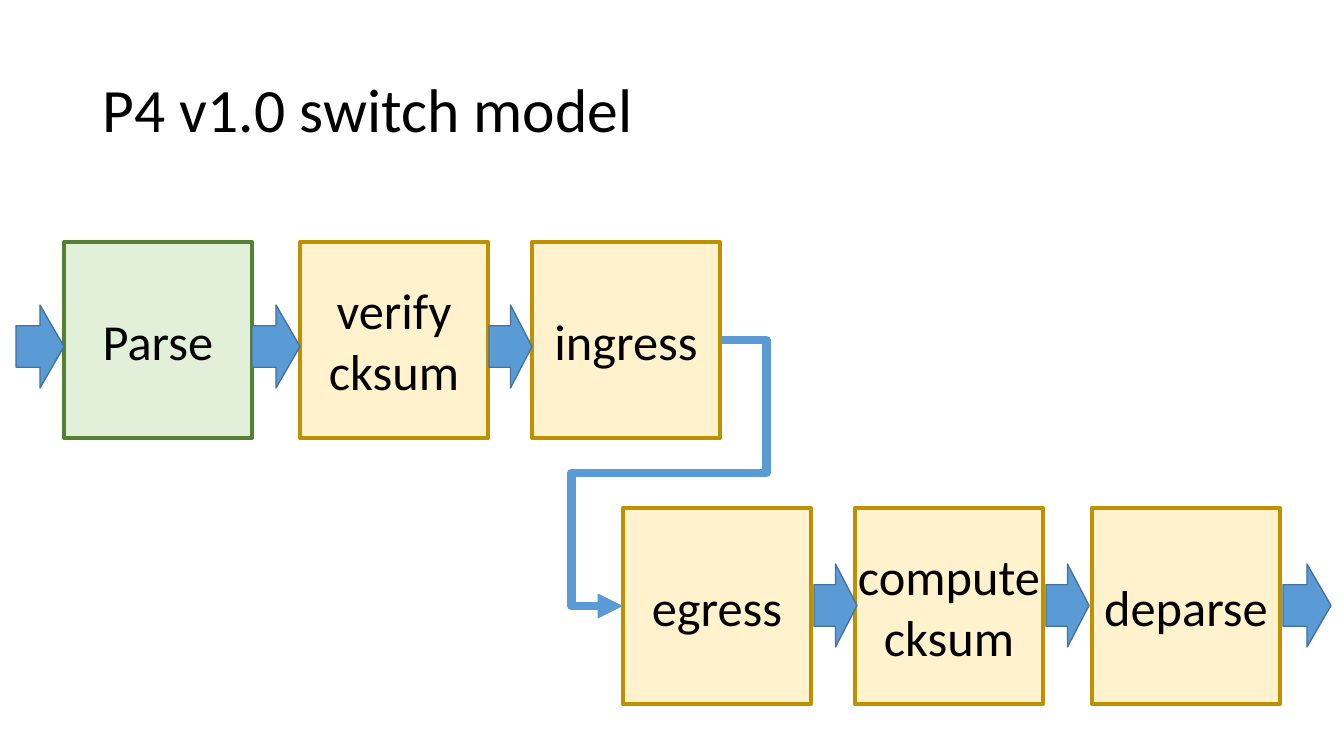
from lxml import etree
from pptx import Presentation
from pptx.dml.color import RGBColor
from pptx.enum.shapes import MSO_CONNECTOR, MSO_SHAPE
from pptx.enum.text import MSO_ANCHOR, PP_ALIGN
from pptx.oxml.ns import qn
from pptx.util import Pt

EMU_PER_PX = 914400 / 100.8
BOX_W, BOX_H = 188, 196
ARROW_H = 83
GREEN = ("E2F0D9", "548235")
YELLOW = ("FFF2CC", "BF9000")
BLUE, DARK_BLUE = "5B9BD5", "43739E"

# Each row: top of boxes, top of arrows, boxes (left, lines, colours), arrows (left, width)
ROWS = [
    (242, 305,
     [(64, ["Parse"], GREEN), (300, ["verify", "cksum"], YELLOW), (532, ["ingress"], YELLOW)],
     [(16, 48), (252, 48), (489, 43)]),
    (508, 564,
     [(623, ["egress"], YELLOW), (855, ["compute", "cksum"], YELLOW), (1092, ["deparse"], YELLOW)],
     [(814, 43), (1046, 43), (1283, 48)]),
]


def px(*lengths):
    return [round(length * EMU_PER_PX) for length in lengths]


def color(hex_string):
    return RGBColor.from_string(hex_string)


def write(frame, lines, size, align, wrap=True):
    frame.word_wrap = wrap
    frame.vertical_anchor = MSO_ANCHOR.MIDDLE
    for i, line in enumerate(lines):
        paragraph = frame.paragraphs[0] if i == 0 else frame.add_paragraph()
        paragraph.alignment = align
        run = paragraph.add_run()
        run.text = line
        run.font.size = Pt(size)
        run.font.name = "Calibri"
        run.font.color.rgb = color("000000")


def add_title(slide, text):
    frame = slide.shapes.add_textbox(*px(93, 40, 1159, 146)).text_frame
    write(frame, [text], 44, PP_ALIGN.LEFT)
    frame.paragraphs[0].line_spacing = 0.9


def add_shape(slide, kind, bounds, fill, line, width):
    shape = slide.shapes.add_shape(kind, *px(*bounds))
    shape.shadow.inherit = False
    shape.fill.solid()
    shape.fill.fore_color.rgb = color(fill)
    shape.line.color.rgb = color(line)
    shape.line.width = Pt(width)
    return shape


def add_stage(slide, left, top, lines, colours):
    box = add_shape(slide, MSO_SHAPE.RECTANGLE, (left, top, BOX_W, BOX_H), *colours, 3)
    # The widest label runs up to the box edges
    write(box.text_frame, lines, 36, PP_ALIGN.CENTER, wrap="compute" not in lines)


def add_arrow(slide, left, top, width):
    add_shape(slide, MSO_SHAPE.RIGHT_ARROW, (left, top, width, ARROW_H), BLUE, DARK_BLUE, 1)


def add_bent_arrow(slide, start, end, bends):
    connector = slide.shapes.add_connector(MSO_CONNECTOR.ELBOW, *px(*start, *end))
    connector.line.color.rgb = color(BLUE)
    connector.line.width = Pt(6)
    properties = connector._element.spPr
    # Five-segment route
    geometry = properties.find(qn("a:prstGeom"))
    geometry.set("prst", "bentConnector5")
    guides = geometry.find(qn("a:avLst"))
    for i, bend in enumerate(bends, 1):
        etree.SubElement(guides, qn("a:gd"), name=f"adj{i}", fmla=f"val {bend}")
    # Arrowhead, and no shadow
    etree.SubElement(properties.find(qn("a:ln")), qn("a:tailEnd"), type="triangle")
    etree.SubElement(properties, qn("a:effectLst"))


def main():
    presentation = Presentation()
    presentation.slide_width, presentation.slide_height = px(1344, 756)
    slide = presentation.slides.add_slide(presentation.slide_layouts[6])

    add_title(slide, "P4 v1.0 switch model")

    # Pipeline stages
    for box_top, _, stages, _ in ROWS:
        for left, lines, colours in stages:
            add_stage(slide, left, box_top, lines, colours)

    # Flow between stages, and from the first row to the second
    for _, arrow_top, _, arrows in ROWS:
        for left, width in arrows:
            add_arrow(slide, left, arrow_top, width)
    add_bent_arrow(slide, (721, 340), (623, 606), (-46500, 50000, 152700))

    presentation.save("out.pptx")


main()
